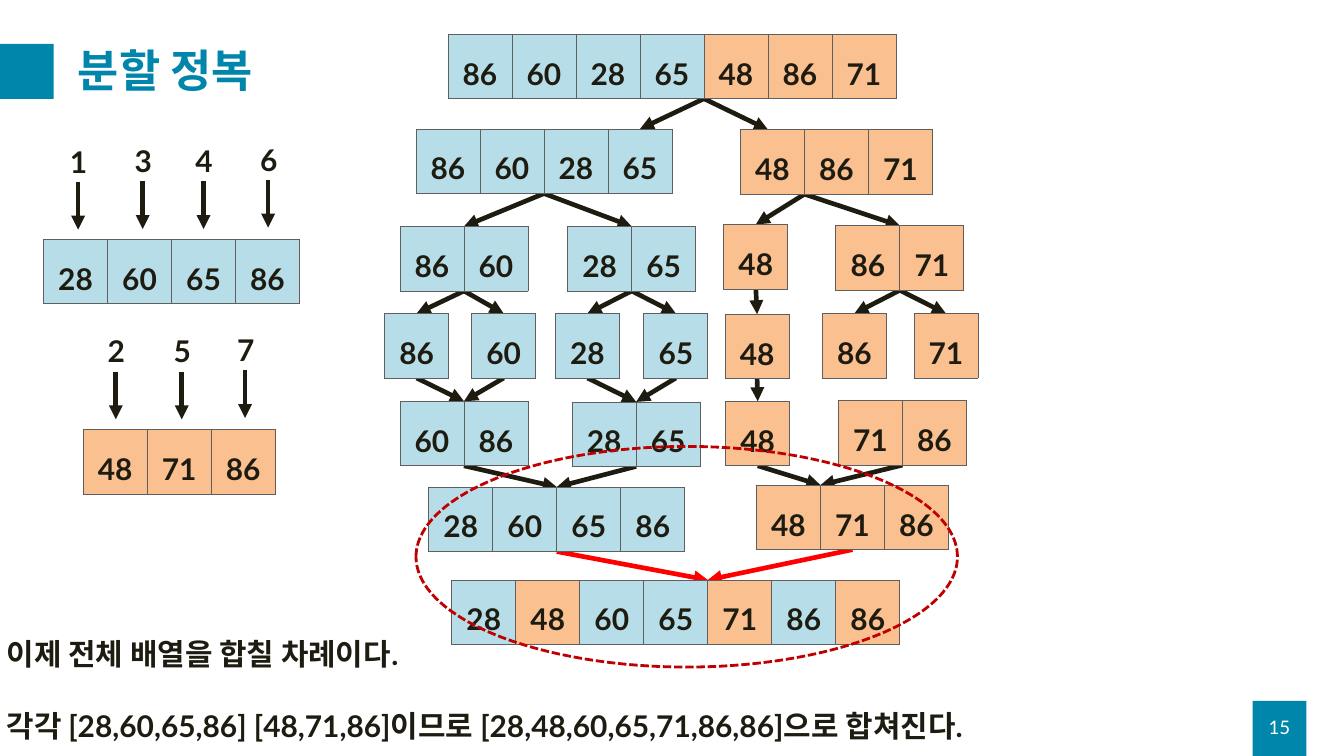
from dataclasses import dataclass
from typing import Optional

from lxml.etree import SubElement
from pptx import Presentation
from pptx.dml.color import RGBColor
from pptx.enum.dml import MSO_LINE
from pptx.enum.shapes import MSO_CONNECTOR as Conn, MSO_SHAPE as Geo
from pptx.enum.text import MSO_ANCHOR as Anchor, MSO_AUTO_SIZE as Fit, PP_ALIGN as Align
from pptx.oxml.ns import qn
from pptx.util import Inches, Pt

TEAL = RGBColor(0x00, 0x86, 0xAB)
INK = RGBColor(0x1E, 0x1C, 0x11)
WHITE = RGBColor(0xFF, 0xFF, 0xFF)
RED = RGBColor(0xFF, 0x00, 0x00)
DARK_RED = RGBColor(0xC0, 0x00, 0x00)
BLUE = RGBColor(0xB7, 0xDE, 0xE8)
PEACH = RGBColor(0xFA, 0xC0, 0x90)
GREY = "5F5F5F"
FILLS = {"b": BLUE, "p": PEACH}

# Grid: one array cell is one column wide and one row high
WIDE, HIGH = Inches(20), Inches(11.25)
COL, ROW = WIDE / 21, Inches(0.96)


@dataclass
class Array:
    col: float
    row: float
    nums: str
    tint: str  # one letter for all cells, or one letter per cell

    @property
    def vals(self) -> list[str]:
        return self.nums.split()


@dataclass
class Link:
    start: str
    end: str
    out: Optional[float] = None  # cells from the left edge; middle if None
    into: Optional[float] = None
    color: RGBColor = INK


@dataclass
class Step:
    num: str
    col: float
    row: float


ARRAYS = {
    # Split
    "all": Array(7, 0.53, "86 60 28 65 48 86 71", "bbbbppp"),
    "L": Array(6.5, 2, "86 60 28 65", "b"),
    "R": Array(11.57, 2.01, "48 86 71", "p"),
    "LL": Array(6.25, 3.51, "86 60", "b"),
    "LR": Array(8.87, 3.51, "28 65", "b"),
    "RL": Array(11.31, 3.48, "48", "p"),
    "RR": Array(13.06, 3.5, "86 71", "p"),
    "a": Array(6.01, 4.86, "86", "b"),
    "b": Array(7.37, 4.86, "60", "b"),
    "c": Array(8.68, 4.86, "28", "b"),
    "d": Array(10.06, 4.86, "65", "b"),
    "e": Array(11.33, 4.87, "48", "p"),
    "f": Array(12.85, 4.86, "86", "p"),
    "g": Array(14.28, 4.86, "71", "p"),
    # Merge
    "ab": Array(6.25, 6.22, "60 86", "b"),
    "cd": Array(8.94, 6.23, "28 65", "b"),
    "ee": Array(11.34, 6.22, "48", "p"),
    "fg": Array(13.1, 6.21, "71 86", "p"),
    "abcd": Array(6.7, 7.55, "28 60 65 86", "b"),
    "efg": Array(11.82, 7.52, "48 71 86", "p"),
    "sum": Array(7.06, 8.99, "28 48 60 65 71 86 86", "bpbbpbp"),
    # Order of taking
    "left": Array(0.68, 3.71, "28 60 65 86", "b"),
    "right": Array(1.3, 6.66, "48 71 86", "p"),
}

LINKS = [
    Link("all", "L", 4, 3.5), Link("all", "R", 4, 0.43),
    Link("L", "LL"), Link("L", "LR"),
    Link("R", "RL", 1), Link("R", "RR", 1),
    Link("LL", "a"), Link("LL", "b"), Link("LR", "c"), Link("LR", "d"),
    Link("RL", "e"), Link("RR", "f"), Link("RR", "g"),
    Link("a", "ab"), Link("b", "ab"), Link("c", "cd"), Link("d", "cd"),
    Link("e", "ee"),
    Link("ab", "abcd"), Link("cd", "abcd"),
    Link("ee", "efg", None, 1), Link("fg", "efg", None, 1),
    Link("abcd", "sum", None, 4, RED), Link("efg", "sum", None, 4, RED),
]

STEPS = [
    Step("1", 1.22, 2.82), Step("3", 2.23, 2.81),
    Step("4", 3.18, 2.81), Step("6", 4.19, 2.79),
    Step("2", 1.81, 5.76), Step("5", 2.84, 5.76), Step("7", 3.83, 5.74),
]


def write(frame, *lines: str, size: float = 32, color: RGBColor = INK, bold: bool = True,
          align=Align.LEFT, anchor=Anchor.TOP, space: Optional[float] = None,
          gap: float = 0) -> None:
    frame.word_wrap = True
    frame.vertical_anchor = anchor
    for i, line in enumerate(lines):
        para = frame.add_paragraph() if i else frame.paragraphs[0]
        para.alignment, para.line_spacing = align, space
        para.space_before = Pt(gap if i else 0)
        run = para.add_run()
        run.text = line
        font = run.font
        font.name, font.size, font.bold = "Lato", Pt(size), bold
        font.color.rgb = color


def box(slide, x: float, y: float, w: float, h: float):
    return slide.shapes.add_textbox(int(x), int(y), int(w), int(h)).text_frame


def arrow(slide, x1: float, y1: float, x2: float, y2: float, color: RGBColor = INK) -> None:
    line = slide.shapes.add_connector(Conn.STRAIGHT, int(x1), int(y1), int(x2), int(y2))
    line.line.color.rgb, line.line.width = color, Pt(5)
    SubElement(line.line._get_or_add_ln(), qn("a:tailEnd"), type="triangle")
    SubElement(line._element.spPr, qn("a:effectLst"))


def border(cell) -> None:
    props = cell._tc.get_or_add_tcPr()
    for i, side in enumerate(("lnL", "lnR", "lnT", "lnB")):
        edge = SubElement(props, qn(f"a:{side}"), w=str(Pt(1)))
        SubElement(SubElement(edge, qn("a:solidFill")), qn("a:srgbClr"), val=GREY)
        props.insert(i, edge)


def draw_array(slide, item: Array) -> None:
    count = len(item.vals)
    table = slide.shapes.add_table(1, count, int(item.col * COL), int(item.row * ROW),
                                   int(count * COL), ROW).table
    table.first_row = table.horz_banding = False
    tints = item.tint * count if len(item.tint) == 1 else item.tint
    for cell, val, tint in zip(table.iter_cells(), item.vals, tints):
        write(cell.text_frame, val, align=Align.CENTER, space=1.5)
        cell.fill.solid()
        cell.fill.fore_color.rgb = FILLS[tint]
        border(cell)


def draw_link(slide, link: Link) -> None:
    def spot(item: Array, off: Optional[float]) -> float:
        return (item.col + (len(item.vals) / 2 if off is None else off)) * COL

    start, end = ARRAYS[link.start], ARRAYS[link.end]
    arrow(slide, spot(start, link.out), (start.row + 1) * ROW,
          spot(end, link.into), end.row * ROW, link.color)


def draw_step(slide, step: Step) -> None:
    x, y = step.col * COL, step.row * ROW
    arrow(slide, x, y, x, y + 0.74 * ROW)
    write(box(slide, x - 0.23 * COL, y - 0.65 * ROW, 1.12 * COL, 0.67 * ROW), step.num)


def main() -> None:
    deck = Presentation()
    deck.slide_width, deck.slide_height = WIDE, HIGH
    slide = deck.slides.add_slide(deck.slide_layouts[5])

    # Title and page number with their teal blocks
    for left, top in ((0, 0.058), (0.932, 0.927)):
        block = slide.shapes.add_shape(Geo.RECTANGLE, int(left * WIDE), int(top * HIGH),
                                       int(0.04 * WIDE), int(0.073 * HIGH))
        block.shadow.inherit = False
        block.fill.solid()
        block.fill.fore_color.rgb = TEAL
        block.line.fill.background()
    title = slide.shapes.title
    title.left, title.top = int(0.053 * WIDE), int(0.044 * HIGH)
    title.width, title.height = int(0.913 * WIDE), int(0.105 * HIGH)
    title.text_frame.auto_size = Fit.NONE
    write(title.text_frame, "분할 정복", size=48, color=TEAL, anchor=Anchor.MIDDLE, space=0.9)
    write(box(slide, 0.932 * WIDE, 0.935 * HIGH, 0.04 * WIDE, 0.053 * HIGH), "15",
          size=20, color=WHITE, bold=False, align=Align.CENTER, anchor=Anchor.MIDDLE)

    # Split and merge tree
    for link in LINKS:
        draw_link(slide, link)
    for item in ARRAYS.values():
        draw_array(slide, item)

    # Order in which numbers are taken
    for step in STEPS:
        draw_step(slide, step)

    # Explanation
    write(box(slide, 0, 0.837 * HIGH, 0.958 * WIDE, 0.153 * HIGH),
          "이제 전체 배열을 합칠 차례이다.",
          "각각 [28,60,65,86] [48,71,86]이므로 [28,48,60,65,71,86,86]으로 합쳐진다.", gap=38)

    # Ring around the last merge
    ring = slide.shapes.add_shape(Geo.OVAL, int(6.5 * COL), int(6.92 * ROW),
                                  int(8.46 * COL), int(3.42 * ROW))
    ring.shadow.inherit = False
    ring.fill.background()
    ring.line.color.rgb, ring.line.width = DARK_RED, Pt(3)
    ring.line.dash_style = MSO_LINE.SQUARE_DOT

    deck.save("out.pptx")


if __name__ == "__main__":
    main()
